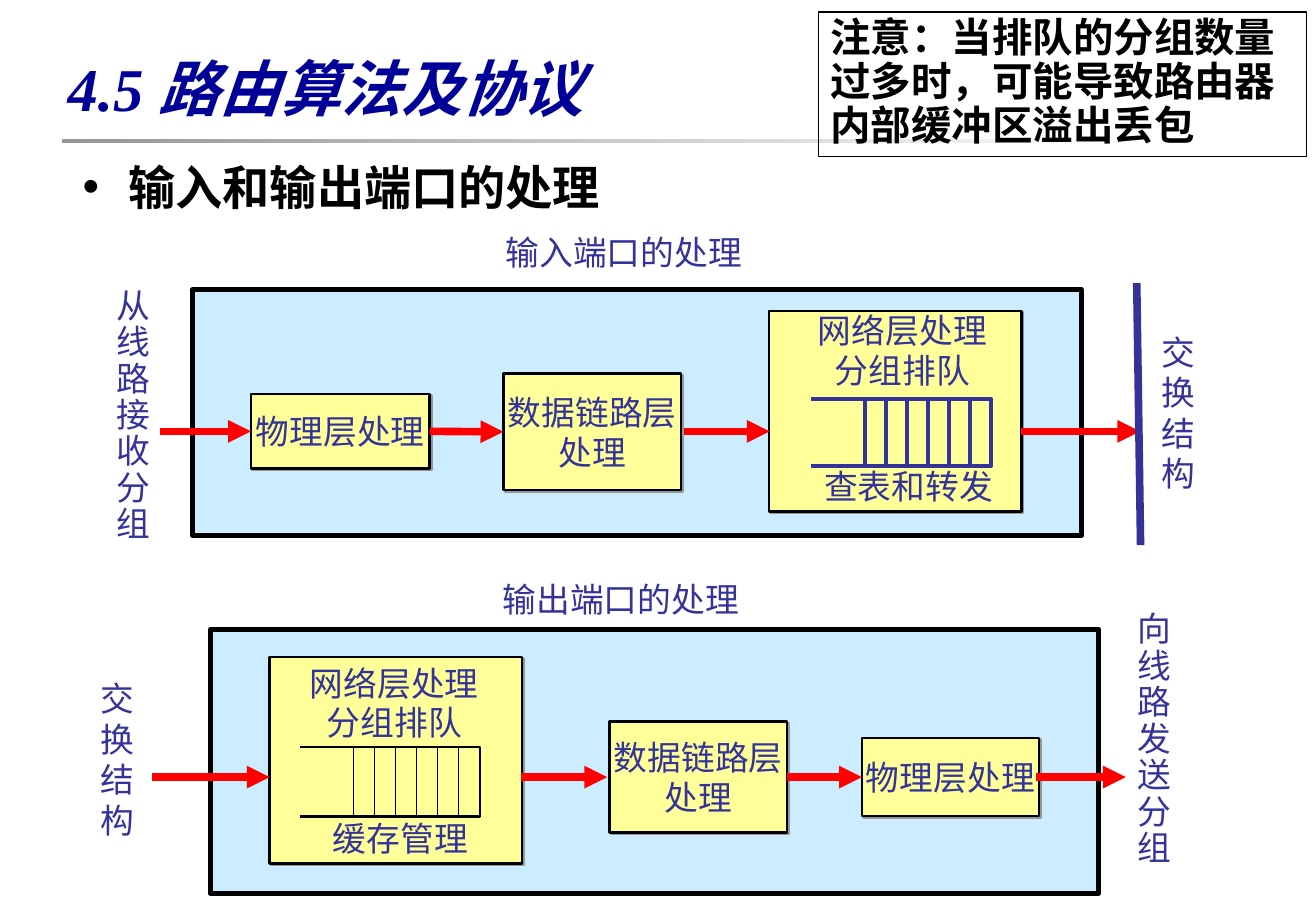
from lxml.etree import SubElement
from pptx import Presentation
from pptx.dml.color import RGBColor
from pptx.enum.shapes import MSO_CONNECTOR, MSO_SHAPE
from pptx.enum.text import MSO_ANCHOR, MSO_AUTO_SIZE, PP_ALIGN
from pptx.oxml.ns import qn
from pptx.util import Cm, Pt

rgb = RGBColor.from_string
BLACK, INDIGO, NAVY, RED = "000000", "333399", "000099", "FF0000"
SKY, YELLOW, GRAY, WHITE = "CCECFF", "FFFF99", "969696", "FFFFFF"
INPUT_AXIS, OUTPUT_AXIS = 9.02, 16.25
RIGHT, LEFT = 3, 1

presentation = Presentation()
presentation.slide_width, presentation.slide_height = Cm(27.53), Cm(19.05)
slide = presentation.slides.add_slide(presentation.slide_layouts[5])
shapes = slide.shapes


def write_text(shape, lines, size=20, font="Arial", color=INDIGO, bold=False, italic=False,
               align=PP_ALIGN.CENTER, anchor=MSO_ANCHOR.TOP, spacing=1.0, wrap=False):
    """Fill a shape with one paragraph per line."""
    frame = shape.text_frame
    frame.word_wrap = wrap
    frame.auto_size = MSO_AUTO_SIZE.NONE
    frame.vertical_anchor = anchor
    for index, line in enumerate(lines):
        paragraph = frame.add_paragraph() if index else frame.paragraphs[0]
        paragraph.alignment = align
        paragraph.line_spacing = spacing
        run = paragraph.add_run()
        run.text = line
        run.font.size, run.font.name = Pt(size), font
        run.font.bold, run.font.italic = bold, italic
        run.font.color.rgb = rgb(color)


def draw_line(x1, y1, x2, y2, color, width, arrow=False):
    line = shapes.add_connector(MSO_CONNECTOR.STRAIGHT, Cm(x1), Cm(y1), Cm(x2), Cm(y2))
    line.line.color.rgb = rgb(color)
    line.line.width = Pt(width)
    if arrow:
        SubElement(line.line._get_or_add_ln(), qn("a:tailEnd"), type="triangle")
    SubElement(line._element.spPr, qn("a:effectLst"))
    return line


# Heading
rule = shapes.add_shape(MSO_SHAPE.RECTANGLE, Cm(1.3), Cm(2.9), Cm(22.86), Cm(0.1))
rule.shadow.inherit = False
rule.line.fill.background()
rule.fill.gradient()
rule.fill.gradient_angle = 0
for stop, color in zip(rule.fill.gradient_stops, (GRAY, WHITE)):
    stop.color.rgb = rgb(color)

title = shapes.title
title.left, title.top, title.width, title.height = Cm(1.16), Cm(0.71), Cm(24.99), Cm(2.21)
write_text(title, ["4.5 路由算法及协议"], 36, "Times New Roman", NAVY, bold=True, italic=True,
           align=PP_ALIGN.LEFT, anchor=MSO_ANCHOR.MIDDLE, wrap=True)

topic = shapes.add_textbox(Cm(1.48), Cm(3.18), Cm(25.27), Cm(1.45))
properties = topic.text_frame.paragraphs[0]._p.get_or_add_pPr()
properties.set("marL", str(Cm(0.96)))
properties.set("indent", str(-Cm(0.96)))
bullet_color = SubElement(properties, qn("a:buClr"))
SubElement(bullet_color, qn("a:srgbClr"), val=BLACK)
SubElement(properties, qn("a:buFont"), typeface="Arial")
SubElement(properties, qn("a:buChar"), char="•")
write_text(topic, ["输入和输出端口的处理"], 28, "Times New Roman", BLACK, bold=True,
           align=PP_ALIGN.LEFT, wrap=True)

# Port frames and processing stages: left, top, width, height, fill, line width, text
physical, link = ["物理层处理"], ["数据链路层", "处理"]
rectangles = {
    "input port": (4.03, 6.06, 18.59, 5.14, SKY, 3, []),
    "input physical": (5.25, INPUT_AXIS - 0.78, 3.74, 1.56, YELLOW, 1.5, physical),
    "input link": (10.53, INPUT_AXIS - 1.21, 3.72, 2.44, YELLOW, 1.5, link),
    "input network": (16.09, 6.5, 5.28, 4.2, YELLOW, 1.5, []),
    "output port": (4.4, 13.16, 18.58, 5.52, SKY, 3, []),
    "output physical": (18.03, OUTPUT_AXIS - 0.82, 3.71, 1.64, YELLOW, 1.5, physical),
    "output link": (12.75, OUTPUT_AXIS - 1.16, 3.72, 2.32, YELLOW, 1.5, link),
    "output network": (5.64, 13.74, 5.28, 4.32, YELLOW, 1.5, []),
}
stages = {}
for name, (left, top, width, height, fill, line_width, lines) in rectangles.items():
    box = shapes.add_shape(MSO_SHAPE.RECTANGLE, Cm(left), Cm(top), Cm(width), Cm(height))
    box.fill.solid()
    box.fill.fore_color.rgb = rgb(fill)
    box.line.color.rgb = rgb(BLACK)
    box.line.width = Pt(line_width)
    box.shadow.inherit = False
    if fill == YELLOW:
        effects = box._element.spPr.find(qn("a:effectLst"))
        shadow = SubElement(effects, qn("a:outerShdw"), dist=str(Pt(1.4)), dir="2700000")
        SubElement(shadow, qn("a:srgbClr"), val=GRAY)
    if lines:
        write_text(box, lines, anchor=MSO_ANCHOR.MIDDLE)
    stages[name] = box

# Packet flow: axis, start, end, stage left, stage entered
arrows = [
    (INPUT_AXIS, 3.35, 5.25, None, "input physical"),
    (INPUT_AXIS, 8.99, 10.53, "input physical", "input link"),
    (INPUT_AXIS, 14.3, 16.1, None, None),
    (INPUT_AXIS, 21.36, 23.85, None, None),
    (OUTPUT_AXIS, 3.18, 5.64, None, None),
    (OUTPUT_AXIS, 10.9, 12.7, None, None),
    (OUTPUT_AXIS, 16.47, 18.03, "output link", "output physical"),
    (OUTPUT_AXIS, 21.67, 23.55, None, None),
]
for axis, start, end, source, target in arrows:
    arrow = draw_line(start, axis, end, axis, RED, 4.5, arrow=True)
    if source:
        arrow.begin_connect(stages[source], RIGHT)
    if target:
        arrow.end_connect(stages[target], LEFT)
draw_line(23.78, 5.92, 23.86, 11.4, INDIGO, 4.5)

# Packet queues, open on the left
queues = [
    (16.97, 8.34, 1.4, YELLOW, INDIGO, 2.25, 2.25),
    (6.27, 15.62, 1.45, None, BLACK, 1.5, 0.75),
]
for left, top, height, fill, color, outline_width, slot_width in queues:
    right, bottom = left + 3.77, top + height
    builder = shapes.build_freeform(Cm(left), Cm(top))
    builder.add_line_segments(
        [(Cm(right), Cm(top)), (Cm(right), Cm(bottom)), (Cm(left), Cm(bottom))], close=False)
    queue = builder.convert_to_shape()
    queue.shadow.inherit = False
    if fill:
        queue.fill.solid()
        queue.fill.fore_color.rgb = rgb(fill)
    else:
        queue.fill.background()
    queue.line.color.rgb = rgb(color)
    queue.line.width = Pt(outline_width)
    for slot in range(6):
        x = left + 1.12 + 0.44 * slot
        draw_line(x, top, x, bottom, color, slot_width)

# Labels: left, top, width, height, line spacing, lines
queueing = ["网络层处理", "分组排队"]
labels = [
    (16.86, 6.35, 4.04, 1.96, 1, queueing),
    (16.99, 9.61, 4.04, 1.12, 1, ["查表和转发"]),
    (10.14, 4.72, 5.82, 1.12, 1, ["输入端口的处理"]),
    (2.18, 5.92, 1.22, 5.59, 0.9, "从线路接收分组"),
    (24.04, 6.81, 1.22, 3.66, 1, "交换结构"),
    (6.23, 13.8, 4.04, 1.88, 0.95, queueing),
    (6.71, 16.97, 3.33, 1.12, 1, ["缓存管理"]),
    (10.08, 11.98, 5.82, 1.12, 1, ["输出端口的处理"]),
    (23.55, 12.69, 1.22, 5.59, 0.9, "向线路发送分组"),
    (1.85, 14.05, 1.22, 3.66, 1, "交换结构"),
]
for left, top, width, height, spacing, lines in labels:
    label = shapes.add_textbox(Cm(left), Cm(top), Cm(width), Cm(height))
    write_text(label, lines, spacing=spacing)

# Overflow warning
note = shapes.add_textbox(Cm(17.12), Cm(0.25), Cm(10.21), Cm(3.02))
note.line.color.rgb = rgb(BLACK)
note.line.width = Pt(0.75)
write_text(note, ["注意：当排队的分组数量过多时，可能导致路由器内部缓冲区溢出丢包"], 24,
           "Times New Roman", BLACK, bold=True, align=PP_ALIGN.LEFT, spacing=0.9, wrap=True)

presentation.save("out.pptx")
